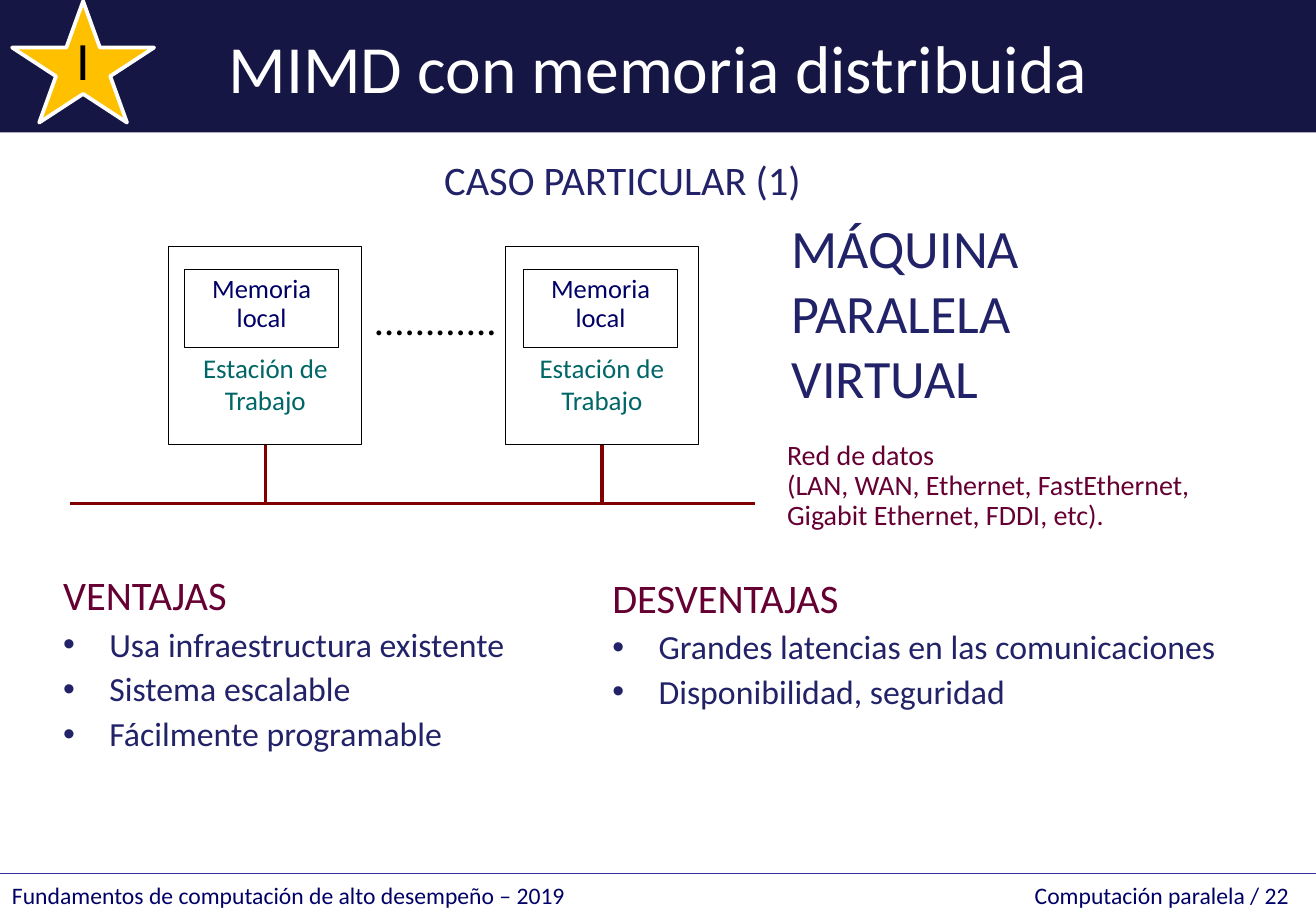
"""Builds the slide on MIMD machines with distributed memory."""
from lxml import etree
from pptx import Presentation
from pptx.dml.color import RGBColor
from pptx.enum.shapes import MSO_CONNECTOR, MSO_SHAPE
from pptx.enum.text import MSO_ANCHOR, MSO_AUTO_SIZE, PP_ALIGN
from pptx.oxml.ns import qn
from pptx.util import Pt

STRAIGHT = MSO_CONNECTOR.STRAIGHT
RECTANGLE, STAR = MSO_SHAPE.RECTANGLE, MSO_SHAPE.STAR_5_POINT
TOP, MIDDLE = MSO_ANCHOR.TOP, MSO_ANCHOR.MIDDLE
NO_AUTOFIT = MSO_AUTO_SIZE.NONE
LEFT, CENTER = PP_ALIGN.LEFT, PP_ALIGN.CENTER

WHITE = RGBColor(0xFF, 0xFF, 0xFF)
BLACK = RGBColor(0x00, 0x00, 0x00)
BAND = RGBColor(0x16, 0x16, 0x45)
INDIGO = RGBColor(0x22, 0x22, 0x68)
NAVY = RGBColor(0x00, 0x00, 0x66)
RULE = RGBColor(0x33, 0x33, 0x99)
TEAL = RGBColor(0x00, 0x66, 0x66)
WINE = RGBColor(0x66, 0x00, 0x33)
NETWORK = RGBColor(0x80, 0x00, 0x00)
GOLD = RGBColor(0xFF, 0xC0, 0x00)


def write(shape, lines, size, color, paragraph_format=None, frame_format=None):
    frame = shape.text_frame
    frame_values = {
        "word_wrap": True, "auto_size": NO_AUTOFIT, "vertical_anchor": TOP,
        "margin_left": Pt(7.2), "margin_right": Pt(7.2),
        "margin_top": Pt(3.6), "margin_bottom": Pt(3.6),
    } | (frame_format or {})
    for name, value in frame_values.items():
        setattr(frame, name, value)
    paragraph_values = {"alignment": LEFT, "space_before": Pt(0)} | (paragraph_format or {})
    for index, line in enumerate(lines):
        paragraph = frame.add_paragraph() if index else frame.paragraphs[0]
        for name, value in paragraph_values.items():
            setattr(paragraph, name, value)
        run = paragraph.add_run()
        run.text = line
        for name, value in {"name": "Calibri", "size": Pt(size)}.items():
            setattr(run.font, name, value)
        run.font.color.rgb = color


def add_line(x1, y1, x2, y2, color, width):
    connector = slide.shapes.add_connector(STRAIGHT, Pt(x1), Pt(y1), Pt(x2), Pt(y2))
    connector.line.color.rgb = color
    connector.line.width = Pt(width)
    etree.SubElement(connector._element.spPr, qn("a:effectLst"))
    return connector


presentation = Presentation()
presentation.slide_width, presentation.slide_height = Pt(780), Pt(540)
slide = presentation.slides.add_slide(presentation.slide_layouts[3])
title, advantages, disadvantages = slide.placeholders

title.left, title.top, title.width, title.height = Pt(0), Pt(0), Pt(780), Pt(78.5)
title.fill.solid()
title.fill.fore_color.rgb = BAND
write(title, ["MIMD con memoria distribuida"], 40, WHITE,
      {"alignment": CENTER}, {"vertical_anchor": MIDDLE})

LISTS = [
    (advantages, (30.2, 337.7, 318.2, 154), "VENTAJAS",
     ["Usa infraestructura existente", "Sistema escalable", "Fácilmente programable"]),
    (disadvantages, (355.7, 339.1, 391, 122.4), "DESVENTAJAS",
     ["Grandes latencias en las comunicaciones", "Disponibilidad, seguridad"]),
]
for placeholder, box, heading, items in LISTS:
    placeholder.left, placeholder.top, placeholder.width, placeholder.height = map(Pt, box)
    write(placeholder, [heading, *items], 20, INDIGO, {"line_spacing": 0.9})
    for index, paragraph in enumerate(placeholder.text_frame.paragraphs):
        properties = paragraph._p.get_or_add_pPr()
        properties.set("marL", str(Pt(27.4)))
        properties.set("indent", str(Pt(-27.4)))
        if index:
            etree.SubElement(properties, qn("a:buChar"), char="•")
            paragraph.space_before = Pt(5)
        else:
            etree.SubElement(properties, qn("a:buNone"))
            paragraph.runs[0].font.size = Pt(24)
            paragraph.runs[0].font.color.rgb = WINE

TEXTS = [
    ((252, 88.6, 234, 64.8), ["CASO PARTICULAR (1)"], 24, INDIGO, {"alignment": CENTER}),
    ((214.6, 171.4, 103.7, 41), ["............"], 24, BLACK, {}),
    ((459.4, 257.8, 295.9, 74.2),
     ["Red de datos", "(LAN, WAN, Ethernet, FastEthernet, Gigabit Ethernet, FDDI, etc)."],
     16.6, WINE, {"line_spacing": 0.9}),
    ((462.2, 123.8, 203, 122.4), ["MÁQUINA", "PARALELA", "VIRTUAL"], 32, INDIGO, {}),
]
for box, lines, size, color, paragraph_format in TEXTS:
    write(slide.shapes.add_textbox(*map(Pt, box)), lines, size, color, paragraph_format)

NETWORK_TOP = 298.4
add_line(41.8, NETWORK_TOP, 447.8, NETWORK_TOP, NETWORK, 2)
for station_left, memory_left in [(100, 109.4), (299.5, 310.3)]:
    boxes = [
        ((station_left, 146.2, 114.5, 117.4), "Estación de Trabajo", 16, TEAL, {}, 62),
        ((memory_left, 159.8, 91.4, 46), "Memoria local", 15.7, NAVY, {"line_spacing": 0.9}, 3.6),
    ]
    for box, label, size, color, paragraph_format, margin_top in boxes:
        shape = slide.shapes.add_shape(RECTANGLE, *map(Pt, box))
        shape.shadow.inherit = False
        shape.fill.solid()
        shape.fill.fore_color.rgb = WHITE
        shape.line.color.rgb = BLACK
        shape.line.width = Pt(0.75)
        write(shape, [label], size, color, {"alignment": CENTER} | paragraph_format,
              {"margin_top": Pt(margin_top)})
        if label.startswith("Estación"):
            station = shape
    middle = station_left + 114.5 / 2
    drop = add_line(middle, 263.6, middle, NETWORK_TOP, NETWORK, 2)
    drop.begin_connect(station, 2)

star = slide.shapes.add_shape(STAR, Pt(7.2), Pt(0.7), Pt(84.2), Pt(72))
star.shadow.inherit = False
star.fill.solid()
star.fill.fore_color.rgb = GOLD
star.line.color.rgb = WHITE
star.line.width = Pt(2.25)
write(star, ["I"], 32, BLACK, {"alignment": CENTER, "line_spacing": 0.9},
      {"word_wrap": False, "vertical_anchor": MIDDLE, "margin_bottom": Pt(13)})

add_line(0, 517.7, 780, 517.7, RULE, 0.75)
footer = slide.shapes.add_textbox(Pt(0), Pt(518.4), Pt(780), Pt(21.6))
tabs = etree.SubElement(footer.text_frame.paragraphs[0]._p.get_or_add_pPr(), qn("a:tabLst"))
etree.SubElement(tabs, qn("a:tab"), pos=str(Pt(757)), algn="r")
write(footer, ["Fundamentos de computación de alto desempeño – 2019\tComputación paralela / 22"],
      14, NAVY)

presentation.save("out.pptx")
